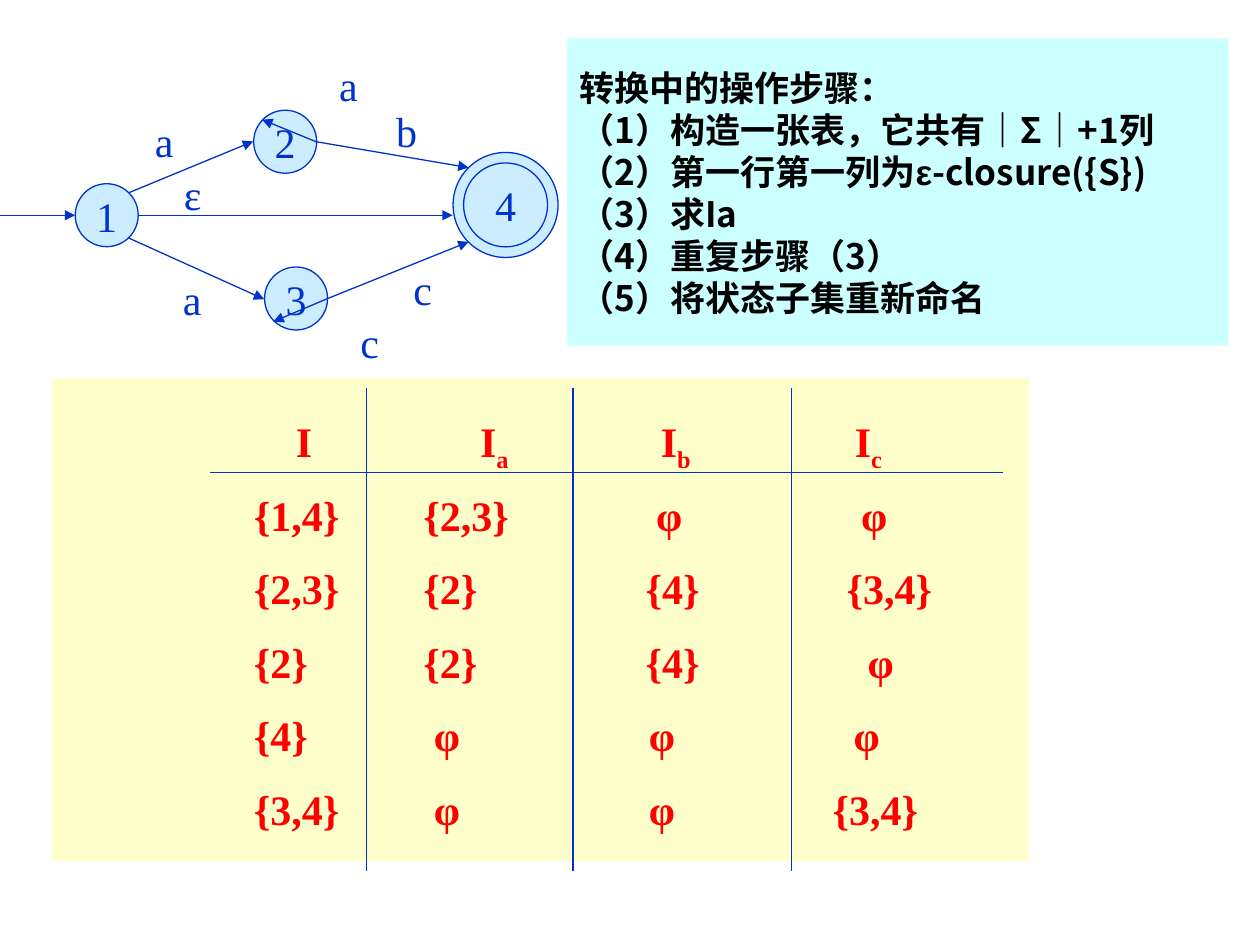
from lxml import etree
from pptx import Presentation
from pptx import util as u
from pptx.dml.color import RGBColor
from pptx.enum import shapes, text
from pptx.oxml import ns

BLUE = RGBColor(0x00, 0x33, 0xCC)
RED = RGBColor(0xFF, 0x00, 0x00)
BLACK = RGBColor(0x00, 0x00, 0x00)
NODE_FILL = RGBColor(0xCC, 0xEC, 0xFF)
STEPS_FILL = RGBColor(0xCC, 0xFF, 0xFF)
TABLE_FILL = RGBColor(0xFF, 0xFF, 0x99)
SERIF = "Times New Roman"
SANS = "Noto Sans CJK SC"

# Centres of the states and the arrows between them
NODE_RADIUS = 18
NODES = {"1": (61, 123), "2": (163, 81), "3": (169.2, 170.6)}
FINAL_CENTRE, FINAL_RADII = (288.9, 117.1), (30, 24)
ARROWS = [
    (-11, 123, 43, 123), (79, 123, 258.7, 123),
    (73.5, 110.2, 144.7, 80.8), (73.5, 136, 151, 171),
    (187.2, 170.6, 267.8, 138.2), (187.2, 170.6, 156.2, 183.8),
    (180.7, 81, 267.8, 95.8), (180.7, 81, 149.8, 68.4),
]
LABELS = [
    ("a", 93.9, 80.6), ("b", 231.8, 74.9), ("a", 109.8, 170.6),
    ("c", 241.6, 164.9), ("a", 199.1, 48.2), ("c", 211.3, 195.1),
    ("ε", 110.2, 110.9),
]

STEPS = [
    "转换中的操作步骤：",
    "（1）构造一张表，它共有｜Σ｜+1列",
    "（2）第一行第一列为ε-closure({S})",
    "（3）求Ia",
    "（4）重复步骤（3）",
    "（5）将状态子集重新命名",
]

# Cells of each row and the tab stops they start at
HEADER = ["I", "Ia", "Ib", "Ic"]
HEADER_TABS = (18, 123.3, 226.6, 337.4)
ROWS = [
    (("{1,4}", "{2,3}", "φ", "φ"), (6, 102.9, 235.8, 353)),
    (("{2,3}", "{2}", "{4}", "{3,4}"), (6, 102.9, 229.8, 344.7)),
    (("{2}", "{2}", "{4}", "φ"), (6, 102.9, 229.8, 356.7)),
    (("{4}", "φ", "φ", "φ"), (6, 108.9, 231.8, 348.7)),
    (("{3,4}", "φ", "φ", "{3,4}"), (6, 108.9, 231.8, 336.7)),
]


class Board:
    def __init__(self, s):
        self.s = s

    def style_run(self, r, size=24, color=BLUE, name=SERIF, bold=False):
        r.font.size, r.font.name, r.font.bold = u.Pt(size), name, bold
        r.font.color.rgb = color
        ea = etree.SubElement(r.font._element, ns.qn("a:ea"))
        ea.set("typeface", name)

    def shape(self, kind, x, y, w, h, fill, outlined=False):
        sp = self.s.shapes.add_shape(kind, *map(u.Pt, (x, y, w, h)))
        sp.shadow.inherit = False
        sp.fill.solid()
        sp.fill.fore_color.rgb = fill
        if outlined:
            sp.line.color.rgb = BLUE
            sp.line.width = u.Pt(0.75)
        else:
            sp.line.fill.background()
        return sp

    def panel(self, x, y, w, h, fill, opacity=100):
        sp = self.shape(shapes.MSO_SHAPE.RECTANGLE, x, y, w, h, fill)
        if opacity < 100:
            clr = sp._element.spPr.find(".//" + ns.qn("a:srgbClr"))
            etree.SubElement(clr, ns.qn("a:alpha")).set("val", str(opacity * 1000))
        return sp

    def centred(self, sp, content):
        tf = sp.text_frame
        tf.word_wrap = False
        tf.vertical_anchor = text.MSO_ANCHOR.MIDDLE
        tf.text = content
        p = tf.paragraphs[0]
        p.alignment = text.PP_ALIGN.CENTER
        self.style_run(p.runs[0])

    def circle(self, cx, cy, radius, content=""):
        sp = self.shape(shapes.MSO_SHAPE.OVAL, cx - radius, cy - radius,
                        2 * radius, 2 * radius, NODE_FILL, outlined=True)
        if content:
            self.centred(sp, content)

    def label(self, content, cx, cy, w=25, h=36):
        box = self.s.shapes.add_textbox(*map(u.Pt, (cx - w / 2, cy - h / 2, w, h)))
        self.centred(box, content)

    def line(self, x1, y1, x2, y2, arrow=False):
        c = self.s.shapes.add_connector(
            shapes.MSO_CONNECTOR.STRAIGHT, *map(u.Pt, (x1, y1, x2, y2)))
        c.line.color.rgb = BLUE
        c.line.width = u.Pt(0.75)
        if arrow:
            tail = etree.SubElement(c.line._get_or_add_ln(), ns.qn("a:tailEnd"))
            tail.set("type", "triangle")
        etree.SubElement(c._element.spPr, ns.qn("a:effectLst"))

    def row(self, x, y, cells, tabs, subscripts=False):
        """Write one line of cells, each starting at its own tab stop."""
        box = self.s.shapes.add_textbox(*map(u.Pt, (x, y, 432, 36)))
        box.text_frame.word_wrap = True
        p = box.text_frame.paragraphs[0]
        tab_list = etree.SubElement(p._p.get_or_add_pPr(), ns.qn("a:tabLst"))
        for pos in tabs:
            tab = etree.SubElement(tab_list, ns.qn("a:tab"))
            tab.set("pos", str(u.Pt(pos)))
            tab.set("algn", "l")
        for cell in cells:
            base, sub = (cell[:1], cell[1:]) if subscripts else (cell, "")
            for part, offset in (("\t" + base, 0), (sub, -25000)):
                if part:
                    r = p.add_run()
                    r.text = part
                    self.style_run(r, color=RED, bold=True)
                    r.font._element.set("baseline", str(offset))

    def steps(self, sp, lines):
        tf = sp.text_frame
        tf.word_wrap = True
        tf.vertical_anchor = text.MSO_ANCHOR.MIDDLE
        tf.text = "\n".join(lines)
        for p, content in zip(tf.paragraphs, lines):
            p.alignment = text.PP_ALIGN.JUSTIFY
            p.line_spacing = u.Pt(24)
            before, epsilon, after = content.partition("ε")
            p.runs[0].text = before
            for part in filter(None, (epsilon, after)):
                p.add_run().text = part
            for r in p.runs:
                name = "Arial" if r.text == "ε" else SANS
                self.style_run(r, 20, BLACK, name, bold=True)


def main():
    prs = Presentation()
    prs.slide_width, prs.slide_height = u.Pt(720), u.Pt(540)
    board = Board(prs.slides.add_slide(prs.slide_layouts[6]))

    board.panel(30, 216, 558, 276, TABLE_FILL, opacity=50)
    board.line(120, 270, 573, 270)
    for x in (209.3, 327.5, 452.3):
        board.line(x, 222, x, 498)
    board.row(144, 234, HEADER, HEADER_TABS, subscripts=True)
    for i, (cells, tabs) in enumerate(ROWS):
        board.row(132, 276 + 42 * i, cells, tabs)

    board.steps(board.panel(324, 22, 378, 175.5, STEPS_FILL), STEPS)

    for name, centre in NODES.items():
        board.circle(*centre, NODE_RADIUS, name)
    for radius, name in zip(FINAL_RADII, ("", "4")):
        board.circle(*FINAL_CENTRE, radius, name)
    for ends in ARROWS:
        board.line(*ends, arrow=True)
    for label in LABELS:
        board.label(*label)

    prs.save("out.pptx")


if __name__ == "__main__":
    main()
